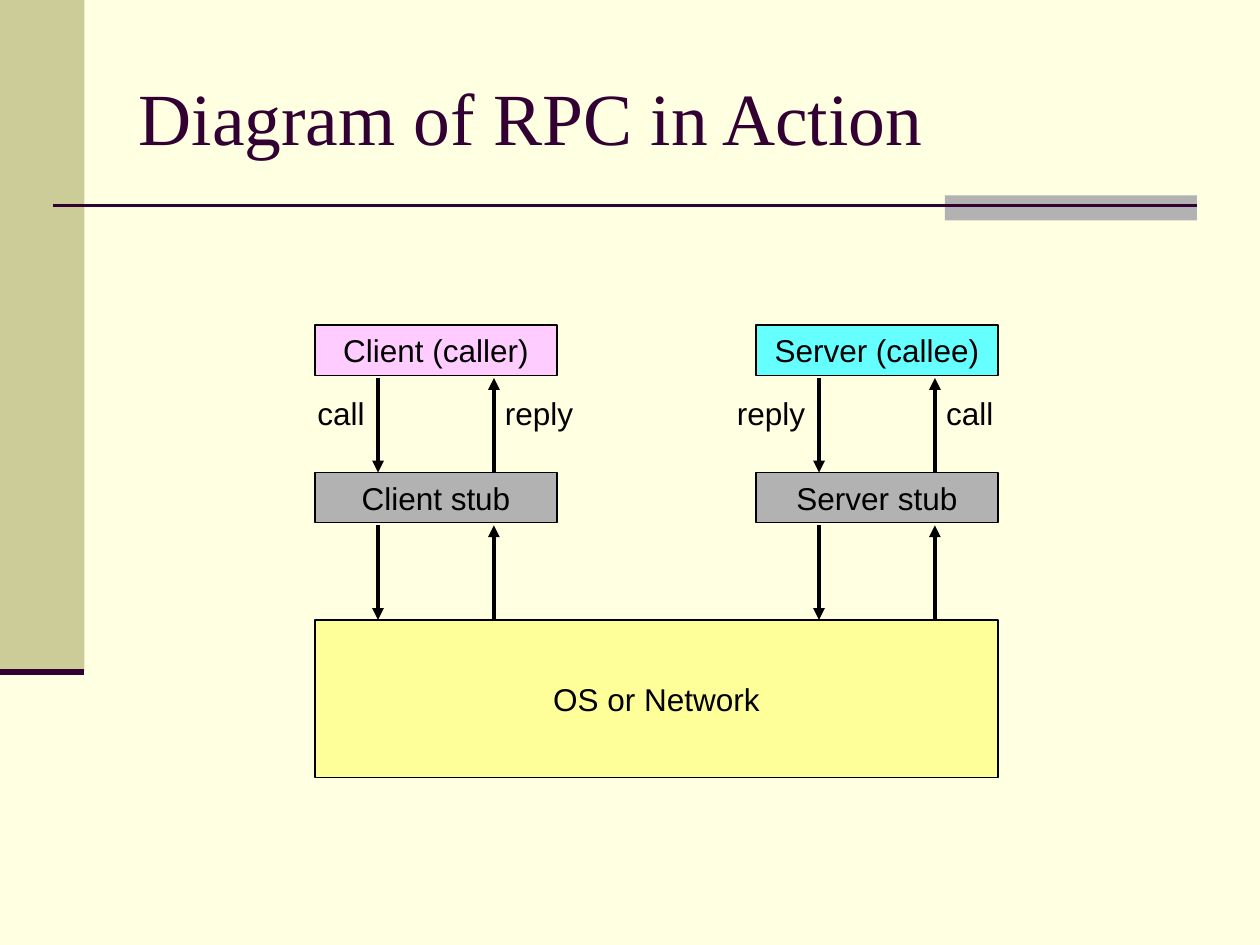
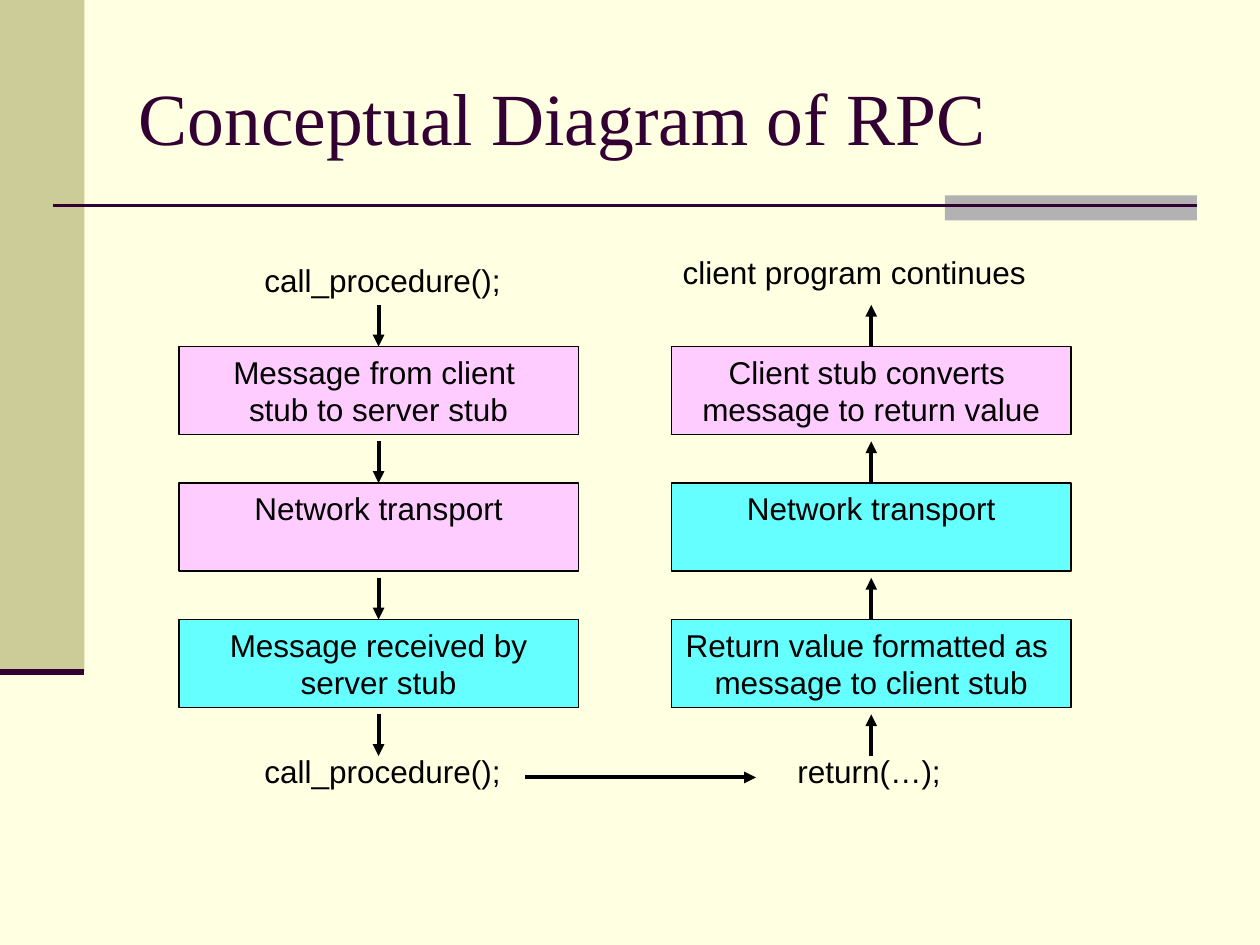
from typing import NamedTuple

from lxml import etree
from pptx import Presentation
from pptx import util as u
from pptx.dml import color
from pptx.enum import shapes, text
from pptx.oxml import ns

COLORS = {
    "page": "FFFFE1", "band": "CCCC99", "accent": "B2B2B2", "title": "330033",
    "ink": "000000", "client": "FFCCFF", "server": "66FFFF", "stub": "B2B2B2",
    "network": "FFFF99",
}
TITLE_FONT, BODY_FONT = "Times New Roman", "Arial"
ARROW_WIDTH = 2.25


class Box(NamedTuple):
    left: float
    top: float
    width: float
    height: float
    fill: str
    lines: tuple[str, ...]
    anchor: text.MSO_ANCHOR = text.MSO_ANCHOR.TOP


class Label(NamedTuple):
    left: float
    top: float
    width: float
    words: str


class Side(NamedTuple):
    left: float
    name: str
    fill: str
    stub: str
    labels: tuple[Label, Label]


class Column(NamedTuple):
    left: float
    upward: bool
    steps: tuple[tuple[str, tuple[str, ...]], ...]
    labels: tuple[Label, Label]


def rgb(name: str) -> color.RGBColor:
    return color.RGBColor.from_string(COLORS[name])


def set_font(font, name: str, size: float, ink: str) -> None:
    font.name, font.size = name, u.Pt(size)
    font.color.rgb = rgb(ink)


def add_rect(s, left: float, top: float, width: float, height: float, fill: str):
    sp = s.shapes.add_shape(shapes.MSO_SHAPE.RECTANGLE, u.Inches(left), u.Inches(top),
                            u.Inches(width), u.Inches(height))
    sp.shadow.inherit = False
    sp.fill.solid()
    sp.fill.fore_color.rgb = rgb(fill)
    sp.line.fill.background()
    return sp


def add_line(s, x1: float, y1: float, x2: float, y2: float, ink: str, width: float):
    line = s.shapes.add_connector(shapes.MSO_CONNECTOR.STRAIGHT, u.Inches(x1), u.Inches(y1),
                                  u.Inches(x2), u.Inches(y2))
    line.line.color.rgb = rgb(ink)
    line.line.width = u.Pt(width)
    etree.SubElement(line._element.spPr, ns.qn("a:effectLst"))
    return line


def add_arrow(s, x1: float, y1: float, x2: float, y2: float) -> None:
    line = add_line(s, x1, y1, x2, y2, "ink", ARROW_WIDTH)
    etree.SubElement(line.line._get_or_add_ln(), ns.qn("a:tailEnd"), type="triangle")


def add_vertical_arrow(s, x: float, top: float, bottom: float, upward: bool) -> None:
    start, end = (bottom, top) if upward else (top, bottom)
    add_arrow(s, x, start, x, end)


def add_box(s, box: Box) -> None:
    sp = add_rect(s, box.left, box.top, box.width, box.height, box.fill)
    sp.line.color.rgb = rgb("ink")
    sp.line.width = u.Pt(0.75)
    tf = sp.text_frame
    tf.word_wrap = True
    tf.vertical_anchor = box.anchor
    tf.text = "\n".join(box.lines)
    for p in tf.paragraphs:
        p.alignment = text.PP_ALIGN.CENTER
        set_font(p.runs[0].font, BODY_FONT, 18, "ink")


def add_label(s, label: Label) -> None:
    sp = s.shapes.add_textbox(u.Inches(label.left), u.Inches(label.top),
                              u.Inches(label.width), u.Inches(0.4))
    tf = sp.text_frame
    tf.word_wrap = False
    tf.auto_size = text.MSO_AUTO_SIZE.SHAPE_TO_FIT_TEXT
    tf.text = label.words
    set_font(tf.paragraphs[0].runs[0].font, BODY_FONT, 18, "ink")


def add_slide(prs, title: str):
    s = prs.slides.add_slide(prs.slide_layouts[5])
    add_rect(s, 0, 0, 0.67, 5.33, "band")
    add_rect(s, 7.5, 1.55, 2, 0.2, "accent")
    add_line(s, 0.42, 1.63, 9.5, 1.63, "title", 1.5)
    add_line(s, 0, 5.33, 0.67, 5.33, "title", 3.5)
    sp = s.shapes.title
    sp.left, sp.top = u.Inches(1), u.Inches(0.3)
    sp.width, sp.height = u.Inches(8.5), u.Inches(1.25)
    tf = sp.text_frame
    tf.text = title
    tf.auto_size = text.MSO_AUTO_SIZE.NONE
    tf.vertical_anchor = text.MSO_ANCHOR.MIDDLE
    p = tf.paragraphs[0]
    p.alignment = text.PP_ALIGN.LEFT
    set_font(p.runs[0].font, TITLE_FONT, 42, "title")
    return s


def build_action(prs) -> None:
    s = add_slide(prs, "Diagram of RPC in Action")
    sides = (
        Side(2.5, "Client (caller)", "client", "Client stub",
             (Label(2.42, 3.08, 0.59, "call"), Label(3.91, 3.08, 0.76, "reply"))),
        Side(6, "Server (callee)", "server", "Server stub",
             (Label(5.75, 3.08, 0.76, "reply"), Label(7.41, 3.08, 0.59, "call"))),
    )
    add_box(s, Box(2.5, 4.92, 5.42, 1.25, "network", ("OS or Network",),
                   text.MSO_ANCHOR.MIDDLE))
    for side in sides:
        levels = ((2.58, side.fill, side.name), (3.75, "stub", side.stub))
        for top, fill, name in levels:
            add_box(s, Box(side.left, top, 1.92, 0.4, fill, (name,)))
            add_vertical_arrow(s, side.left + 0.5, top + 0.42, top + 1.17, False)
            add_vertical_arrow(s, side.left + 1.42, top + 0.42, top + 1.17, True)
        for label in side.labels:
            add_label(s, label)


def build_concept(prs) -> None:
    s = add_slide(prs, "Conceptual Diagram of RPC")
    width, first_top, pitch, arrow = 3.17, 2.75, 13 / 12, 0.33
    columns = (
        Column(1.42, False, (
            ("client", ("Message from client ", "stub to server stub")),
            ("client", ("Network transport",)),
            ("server", ("Message received by server stub",)),
        ), (Label(2, 2.02, 2.09, "call_procedure();"),
            Label(2, 5.92, 2.09, "call_procedure();"))),
        Column(5.33, True, (
            ("client", ("Client stub converts ", "message to return value")),
            ("server", ("Network transport",)),
            ("server", ("Return value formatted as ", "message to client stub")),
        ), (Label(5.32, 1.96, 2.94, "client program continues"),
            Label(6.23, 5.92, 1.36, "return(…);"))),
    )
    for column in columns:
        for i, (fill, lines) in enumerate(column.steps):
            add_box(s, Box(column.left, first_top + i * pitch, width, 0.7, fill, lines))
        for i in range(len(column.steps) + 1):
            bottom = first_top + i * pitch
            add_vertical_arrow(s, column.left + width / 2, bottom - arrow, bottom,
                               column.upward)
        for label in column.labels:
            add_label(s, label)
    add_arrow(s, 4.17, 6.17, 6, 6.17)


def main() -> None:
    prs = Presentation()
    prs.slide_width, prs.slide_height = u.Inches(10), u.Inches(7.5)
    fill = prs.slide_master.background.fill
    fill.solid()
    fill.fore_color.rgb = rgb("page")
    build_action(prs)
    build_concept(prs)
    prs.save("out.pptx")


if __name__ == "__main__":
    main()
